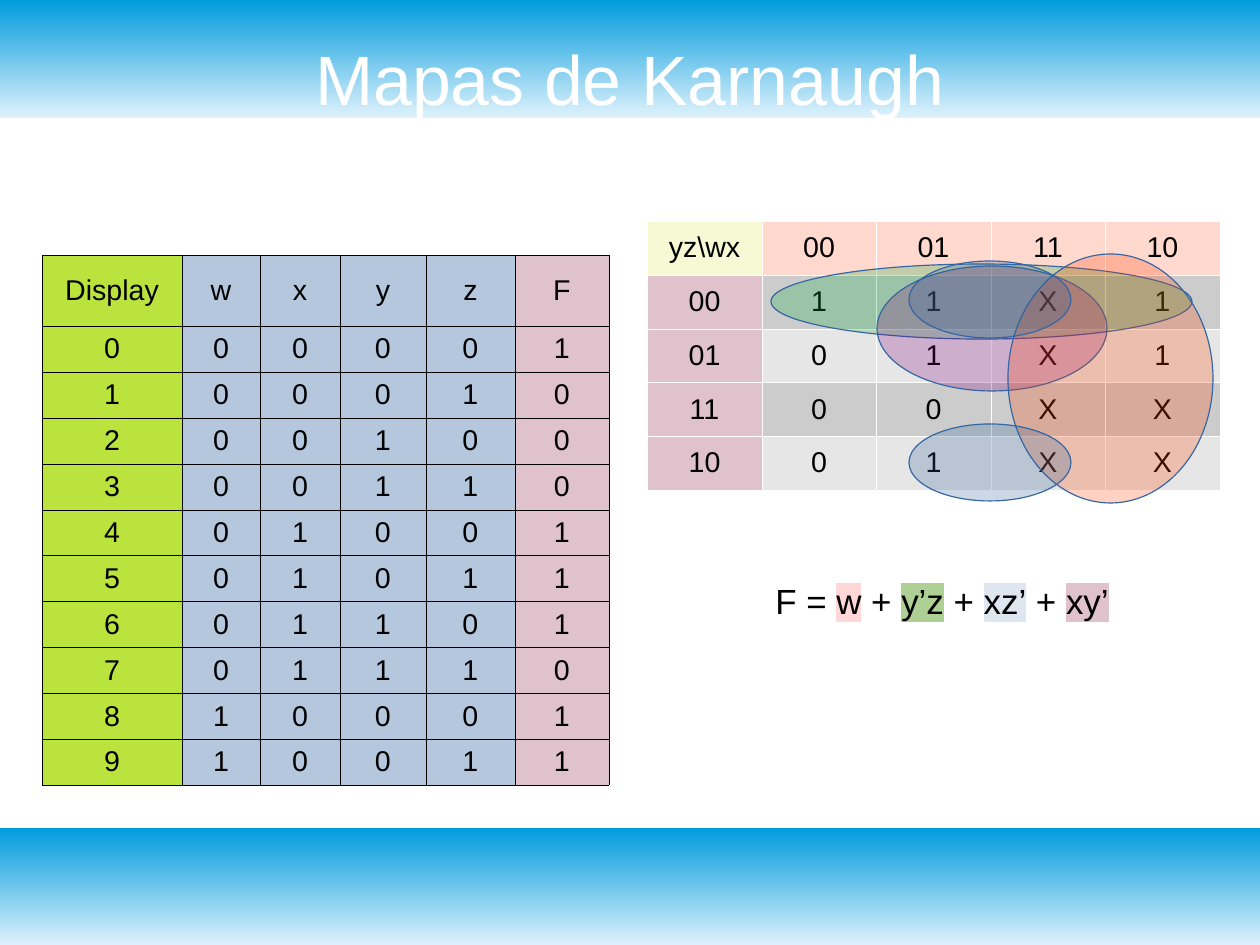
from lxml.etree import SubElement
from pptx import Presentation
from pptx.dml.color import RGBColor
from pptx.enum.shapes import MSO_SHAPE
from pptx.enum.text import MSO_ANCHOR, PP_ALIGN
from pptx.oxml import parse_xml
from pptx.oxml.ns import nsdecls, qn
from pptx.util import Pt

PX = 8000  # EMU per px
WIDTH, HEIGHT = 1260, 945

COLORS = {
    "black": "000000", "white": "FFFFFF",
    "sky": "009BDD", "pale_sky": "DFF2FC",
    "lime": "BBE33D", "steel": "B4C7DC", "mauve": "E0C2CD",
    "cream": "F6F9D4", "peach": "FFD8CE",
    "gray": "CCCCCC", "light_gray": "E6E6E6",
    "outline": "3465A4", "green": "00A933", "purple": "800080",
    "orange": "FF4000", "blue": "2A6099",
    "mark_w": "FFD7D7", "mark_yz": "AFD095", "mark_xz": "DEE6EF",
}


def rgb(name):
    return RGBColor.from_string(COLORS[name])


def write(tf, runs, size=18, color="black", font="Arial"):
    """Fill a frame with one centred paragraph of (text, highlight) runs."""
    tf.word_wrap = True
    tf.vertical_anchor = MSO_ANCHOR.MIDDLE
    p = tf.paragraphs[0]
    p.alignment = PP_ALIGN.CENTER
    for text, highlight in runs:
        r = p.add_run()
        r.text = text
        r.font.size = Pt(size)
        r.font.color.rgb = rgb(color)
        r.font.name = font
        if highlight:
            mark = parse_xml(f'<a:highlight {nsdecls("a")}>'
                             f'<a:srgbClr val="{COLORS[highlight]}"/></a:highlight>')
            r.font.fill  # colour is set, so the mark goes between it and the typeface
            r._r.rPr.find(qn("a:latin")).addprevious(mark)


class SlideBuilder:
    def __init__(self, prs):
        self.slide = prs.slides.add_slide(prs.slide_layouts[5])
        self.shapes = self.slide.shapes

    def title(self, text, *box):
        sp = self.shapes.title
        sp.left, sp.top, sp.width, sp.height = (v * PX for v in box)
        tf = sp.text_frame
        tf.margin_left = tf.margin_top = tf.margin_right = tf.margin_bottom = 0
        write(tf, [(text, None)], size=44, color="white")

    def shape(self, kind, *box):
        sp = self.shapes.add_shape(kind, *(v * PX for v in box))
        sp.shadow.inherit = False
        return sp

    def band(self, top, height):
        """Draw a full-width gradient band behind the title."""
        sp = self.shape(MSO_SHAPE.RECTANGLE, 0, top, WIDTH, height)
        sp.line.fill.background()
        sp.fill.gradient()
        sp.fill.gradient_angle = 90
        for stop, color in zip(sp.fill.gradient_stops, ("pale_sky", "sky")):
            stop.color.rgb = rgb(color)
        self.shapes.title.element.addprevious(sp.element)

    def group_ellipse(self, color, *box):
        sp = self.shape(MSO_SHAPE.OVAL, *box)
        sp.fill.solid()
        sp.fill.fore_color.rgb = rgb(color)
        fill = sp.element.spPr.find(qn("a:solidFill"))
        SubElement(fill[0], qn("a:alpha"), val="24000")
        sp.line.color.rgb = rgb("outline")
        sp.line.width = 0

    def text(self, runs, *box, **style):
        sp = self.shapes.add_textbox(*(v * PX for v in box))
        write(sp.text_frame, runs, **style)

    def table(self, left, top, cols, header, body, rows, border, fill_of):
        """Header and body are heights; the body is shared equally by its rows."""
        frame = self.shapes.add_table(len(rows), len(cols), left * PX, top * PX,
                                      sum(cols) * PX, (header + body) * PX)
        table = frame.table
        table.first_row = table.horz_banding = False
        for column, width in zip(table.columns, cols):
            column.width = width * PX
        for i, row in enumerate(rows):
            table.rows[i].height = body * PX // (len(rows) - 1) if i else header * PX
            for j, value in enumerate(row):
                self.cell(table.cell(i, j), value, border, fill_of(i, j))

    def cell(self, cell, value, border, fill):
        write(cell.text_frame, [(value, None)])
        cell.vertical_anchor = MSO_ANCHOR.MIDDLE
        tc_pr = cell._tc.get_or_add_tcPr()
        for side in "LRTB":
            ln = SubElement(tc_pr, qn(f"a:ln{side}"), w="720")
            solid = SubElement(ln, qn("a:solidFill"))
            SubElement(solid, qn("a:srgbClr"), val=COLORS[border])
        cell.fill.solid()
        cell.fill.fore_color.rgb = rgb(fill)


def karnaugh_fill(i, j):
    if i == 0:
        return "peach" if j else "cream"
    if j == 0:
        return "mauve"
    return "gray" if i % 2 else "light_gray"


def truth_fill(i, j):
    return {0: "lime", 5: "mauve"}.get(j, "steel")


def main():
    prs = Presentation()
    prs.slide_width, prs.slide_height = WIDTH * PX, HEIGHT * PX
    s = SlideBuilder(prs)

    for top in (0, 828):
        s.band(top, 118)
    s.title("Mapas de Karnaugh", 63, 38, 1134, 80)

    karnaugh = [
        ["yz\\wx", "00", "01", "11", "10"],
        ["00", "1", "1", "X", "1"],
        ["01", "0", "1", "X", "1"],
        ["11", "0", "0", "X", "X"],
        ["10", "0", "1", "X", "X"],
    ]
    s.table(647, 221, [115, 114, 115, 114, 115], 54, 215, karnaugh,
            "white", karnaugh_fill)

    outputs = "1000111011"
    truth = [["Display", *"wxyzF"]]
    truth += [[str(n), *f"{n:04b}", f] for n, f in enumerate(outputs)]
    s.table(42, 255, [140, 78, 80, 86, 89, 94], 71, 459, truth,
            "black", truth_fill)

    formula = [("F = ", None), ("w", "mark_w"), (" + ", None), ("y’z", "mark_yz"),
               (" + ", None), ("xz’", "mark_xz"), (" + ", None), ("xy’", "mauve")]
    s.text(formula, 675, 533, 534, 135, size=22)

    s.group_ellipse("green", 771, 264, 421, 75)
    s.group_ellipse("purple", 877, 266, 230, 125)
    s.group_ellipse("orange", 1008, 254, 205, 249)
    for top in (424, 261):
        s.group_ellipse("blue", 909, top, 162, 77)

    prs.save("out.pptx")


if __name__ == "__main__":
    main()
